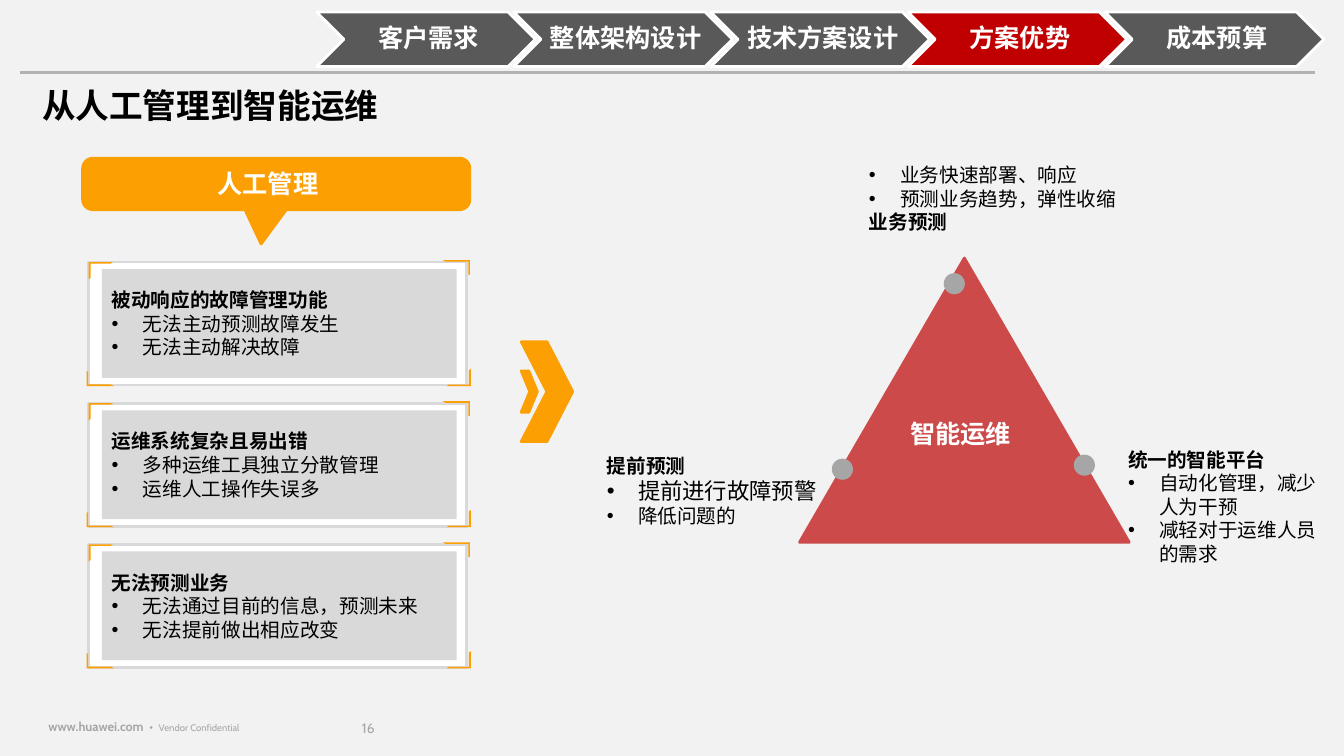
import math
from lxml import etree
from pptx import Presentation
from pptx.dml.color import RGBColor
from pptx.enum.shapes import MSO_CONNECTOR, MSO_SHAPE
from pptx.enum.text import MSO_ANCHOR, MSO_AUTO_SIZE, PP_ALIGN
from pptx.oxml.ns import qn
from pptx.util import Inches, Pt

RECT, CHEVRON, TRIANGLE = MSO_SHAPE.RECTANGLE, MSO_SHAPE.CHEVRON, MSO_SHAPE.ISOSCELES_TRIANGLE
HALF_FRAME, OVAL = MSO_SHAPE.HALF_FRAME, MSO_SHAPE.OVAL
STRAIGHT = MSO_CONNECTOR.STRAIGHT
TOP, MIDDLE = MSO_ANCHOR.TOP, MSO_ANCHOR.MIDDLE
GROW = MSO_AUTO_SIZE.SHAPE_TO_FIT_TEXT
LEFT, CENTER = PP_ALIGN.LEFT, PP_ALIGN.CENTER

BACKGROUND = RGBColor(0xF2, 0xF2, 0xF2)
BLACK = RGBColor(0, 0, 0)
WHITE = RGBColor(0xFF, 0xFF, 0xFF)
ORANGE = RGBColor(0xFC, 0x9F, 0x02)
RED = RGBColor(0xC0, 0, 0)
SOFT_RED = RGBColor(0xCC, 0x4A, 0x4A)
DARK_GRAY = RGBColor(0x59, 0x59, 0x59)
MID_GRAY = RGBColor(0xA6, 0xA6, 0xA6)
RULE_GRAY = RGBColor(0xB2, 0xB2, 0xB2)
LIGHT_GRAY = RGBColor(0xD9, 0xD9, 0xD9)
CJK_FONT, FOOTER_FONT = "Noto Sans CJK SC", "Cabin"

HEAD, ITEM = "head", "item"
STEPS = ["客户需求", "整体架构设计", "技术方案设计", "方案优势", "成本预算"]
CURRENT_STEP = "方案优势"
TITLE = "从人工管理到智能运维"
MANUAL_LABEL = "人工管理"
SMART_LABEL = "智能运维"
PROBLEMS = [
    [(HEAD, "被动响应的故障管理功能", 14), (ITEM, "无法主动预测故障发生", 14),
     (ITEM, "无法主动解决故障", 14)],
    [(HEAD, "运维系统复杂且易出错", 14), (ITEM, "多种运维工具独立分散管理", 14),
     (ITEM, "运维人工操作失误多", 14)],
    [(HEAD, "无法预测业务", 14), (ITEM, "无法通过目前的信息，预测未来", 14),
     (ITEM, "无法提前做出相应改变", 14)],
]
BENEFITS = [
    ((8.52, 1.57, 2.68, 0.81),
     [(ITEM, "业务快速部署、响应", 14), (ITEM, "预测业务趋势，弹性收缩", 14),
      (HEAD, "业务预测", 14)]),
    ((11.09, 4.39, 2.14, 1.51),
     [(HEAD, "统一的智能平台", 14), (ITEM, "自动化管理，减少人为干预", 14),
      (ITEM, "减轻对于运维人员的需求", 14)]),
    ((5.92, 4.45, 2.44, 0.84),
     [(HEAD, "提前预测", 14), (ITEM, "提前进行故障预警", 16), (ITEM, "降低问题的", 14)]),
]
FOOTER = [("www.huawei.com  •  ", 9, True), ("Vendor Confidential", 6.8, False)]
PAGE_NUMBER = "16"

CARD_LEFT, CARD_TOP, CARD_PITCH = 0.88, 2.6, 1.4
CARD_CORNERS = [(0, 0, 0.24, 0.17, 0), (3.57, -0.08, 0.15, 0.27, 90),
                (0.04, 1.02, 0.15, 0.27, 270), (3.55, 1.06, 0.24, 0.17, 180)]
STEP_LEFT, STEP_LAST_LEFT = 3.14, 10.96
CALLOUT_LEFT, CALLOUT_TOP, CALLOUT_RIGHT, CALLOUT_BOTTOM, CALLOUT_RADIUS = 0.82, 1.57, 4.66, 2.08, 0.1
CALLOUT_TAIL = [(2.84, 2.08), (2.59, 2.42), (2.43, 2.08)]
TRIANGLE_DOTS = [(8.25, 4.55), (9.36, 2.71), (10.65, 4.51)]

deck = Presentation()
deck.slide_width, deck.slide_height = Inches(13.33), Inches(7.5)
slide = deck.slides.add_slide(deck.slide_layouts[6])
slide.background.fill.solid()
slide.background.fill.fore_color.rgb = BACKGROUND


def paint(shape, fill, outline=None):
    shape.shadow.inherit = False
    shape.fill.solid()
    shape.fill.fore_color.rgb = fill
    if outline is None:
        shape.line.fill.background()
    else:
        shape.line.color.rgb = outline
        shape.line.width = Pt(2)
        etree.SubElement(shape._element.spPr.find(qn("a:ln")), qn("a:round"))
    return shape


def add_part(kind, box, fill, outline=None, adjustments=(), rotation=0):
    part = slide.shapes.add_shape(kind, *map(Inches, box))
    for index, value in enumerate(adjustments):
        part.adjustments[index] = value
    part.rotation = rotation
    return paint(part, fill, outline)


def write(shape, lines, color=BLACK, anchor=TOP, align=LEFT):
    frame = shape.text_frame
    frame.word_wrap = True
    frame.vertical_anchor = anchor
    for index, (role, text, size) in enumerate(lines):
        paragraph = frame.add_paragraph() if index else frame.paragraphs[0]
        paragraph.text = text
        paragraph.alignment = align
        props = paragraph._p.get_or_add_pPr()
        if role == ITEM:
            props.set("marL", str(Inches(0.31)))
            props.set("indent", str(-Inches(0.31)))
            etree.SubElement(props, qn("a:buFont"), typeface="Arial")
            etree.SubElement(props, qn("a:buChar"), char="•")
        font = paragraph.font
        font.size, font.bold, font.name = Pt(size), role == HEAD, CJK_FONT
        font.color.rgb = color
        etree.SubElement(props.find(qn("a:defRPr")), qn("a:ea"), typeface=CJK_FONT)
    return frame


def add_text(box, lines, color=BLACK):
    frame = write(slide.shapes.add_textbox(*map(Inches, box)), lines, color)
    frame.auto_size = GROW


def set_insets(frame, left, top, right, bottom):
    frame.margin_left, frame.margin_top = Inches(left), Inches(top)
    frame.margin_right, frame.margin_bottom = Inches(right), Inches(bottom)


def add_callout():
    r = CALLOUT_RADIUS
    near, far = CALLOUT_LEFT + r, CALLOUT_RIGHT - r
    high, low = CALLOUT_TOP + r, CALLOUT_BOTTOM - r
    outline = []
    for x, y, start in [(near, high, 180), (far, high, 270), (far, low, 0), (near, low, 90)]:
        if start == 90:
            outline += CALLOUT_TAIL
        for turn in range(0, 91, 15):
            angle = math.radians(start + turn)
            outline.append((x + r * math.cos(angle), y + r * math.sin(angle)))
    points = [(Inches(x), Inches(y)) for x, y in outline]
    builder = slide.shapes.build_freeform(*points[0])
    builder.add_line_segments(points[1:], close=True)
    paint(builder.convert_to_shape(), ORANGE, ORANGE)


def add_footer():
    number = slide.shapes.add_textbox(*map(Inches, (3.59, 7.13, 0.4, 0.21))).text_frame
    set_insets(number, 0, 0, 0, 0)
    number.word_wrap = True
    number.vertical_anchor = MIDDLE
    number.text = PAGE_NUMBER
    number.paragraphs[0].line_spacing = 0.85
    number.paragraphs[0].font.size = Pt(9.8)

    credit = slide.shapes.add_textbox(*map(Inches, (0.41, 7.09, 2.09, 0.23))).text_frame
    set_insets(credit, 0.07, 0.04, 0.07, 0.04)
    credit.word_wrap = False
    credit.auto_size = GROW
    credit.vertical_anchor = MIDDLE
    for text, size, bold in FOOTER:
        run = credit.paragraphs[0].add_run()
        run.text = text
        run.font.size, run.font.bold = Pt(size), bold
    for frame in (number, credit):
        frame.paragraphs[0].font.name = FOOTER_FONT
        frame.paragraphs[0].font.color.rgb = MID_GRAY


add_footer()

add_callout()
add_text((2.06, 1.62, 2.33, 0.4), [(HEAD, MANUAL_LABEL, 18)], WHITE)
for row, problem in enumerate(PROBLEMS):
    top = CARD_TOP + row * CARD_PITCH
    add_part(RECT, (CARD_LEFT, top, 3.75, 1.22), WHITE, LIGHT_GRAY)
    for dx, dy, width, height, rotation in CARD_CORNERS:
        add_part(HALF_FRAME, (CARD_LEFT + dx, top + dy, width, height), ORANGE,
                 adjustments=(0.09, 0.11), rotation=rotation)
    panel = add_part(RECT, (CARD_LEFT + 0.13, top + 0.07, 3.52, 1.08), LIGHT_GRAY)
    write(panel, problem, anchor=MIDDLE)

add_part(CHEVRON, (5.17, 3.39, 0.51, 0.99), ORANGE, ORANGE)
add_part(CHEVRON, (5.17, 3.68, 0.16, 0.41), ORANGE, ORANGE, adjustments=(0.53,))

add_part(TRIANGLE, (7.93, 2.56, 3.27, 2.82), SOFT_RED, SOFT_RED)
for left, top in TRIANGLE_DOTS:
    add_part(OVAL, (left, top, 0.21, 0.21), MID_GRAY)
add_text((8.93, 4.1, 1.23, 0.4), [(HEAD, SMART_LABEL, 18)], WHITE)
for box, benefit in BENEFITS:
    add_text(box, benefit)

step_pitch = (STEP_LAST_LEFT - STEP_LEFT) / (len(STEPS) - 1)
for index, step in enumerate(STEPS):
    fill = RED if step == CURRENT_STEP else DARK_GRAY
    arrow = add_part(CHEVRON, (STEP_LEFT + index * step_pitch, 0.12, 2.17, 0.54), fill, WHITE)
    frame = write(arrow, [(HEAD, step, 18)], WHITE, MIDDLE, CENTER)
    set_insets(frame, 0.08, 0.03, 0.03, 0.03)
    frame.paragraphs[0].line_spacing = 0.9

rule = slide.shapes.add_connector(STRAIGHT, *map(Inches, (0.2, 0.72, 13.04, 0.72)))
rule.line.color.rgb = RULE_GRAY
rule.line.width = Pt(2.25)
etree.SubElement(rule._element.spPr, qn("a:effectLst"))
add_text((0.32, 0.79, 4.34, 0.5), [(HEAD, TITLE, 24)])

deck.save("out.pptx")
